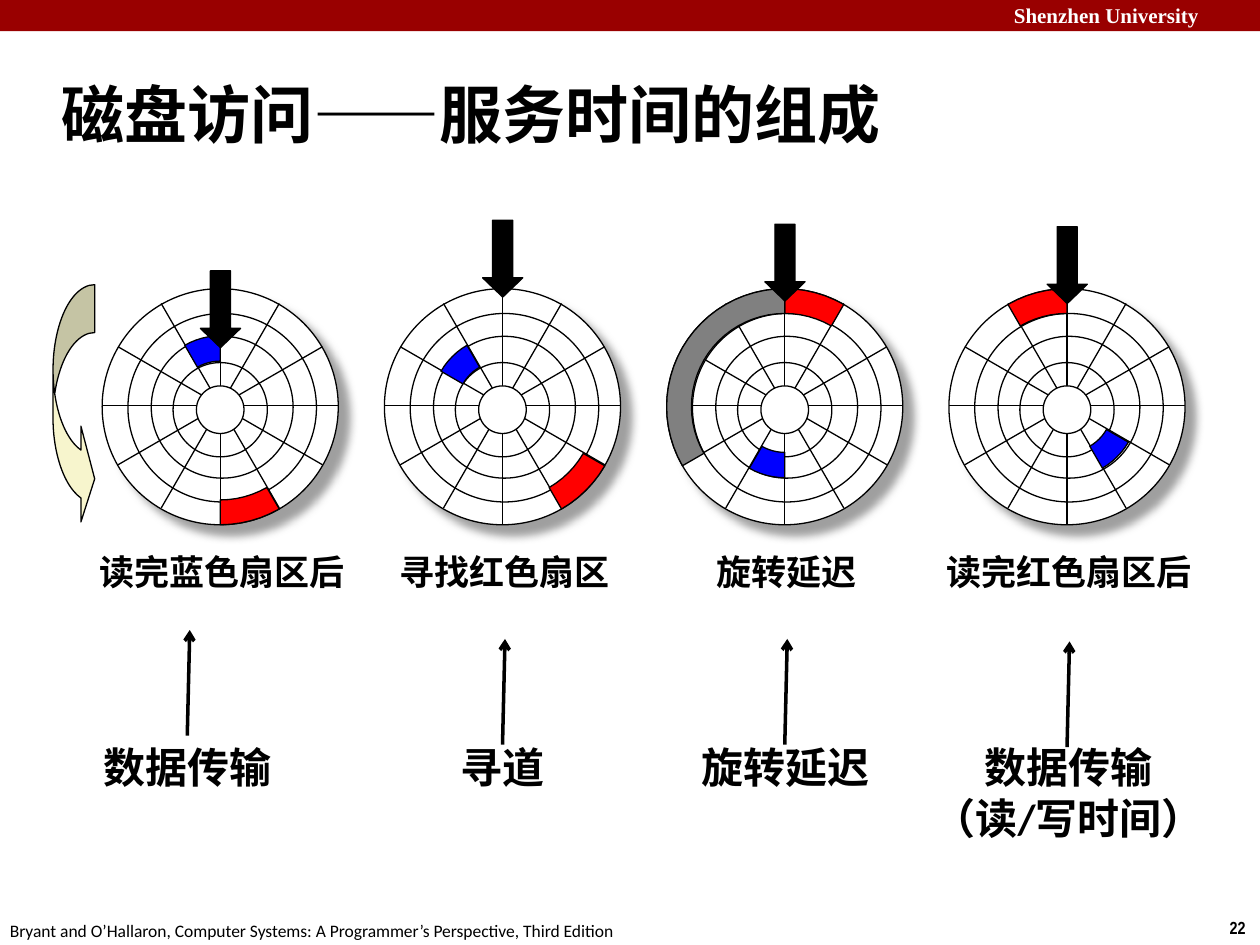
from dataclasses import dataclass
from math import cos, radians, sin
from typing import NamedTuple

from lxml.etree import SubElement as Sub
from pptx import Presentation
from pptx.dml.color import RGBColor as Rgb
from pptx.enum.shapes import MSO_CONNECTOR as Link, MSO_SHAPE as Kind
from pptx.enum.text import MSO_ANCHOR as Anchor, PP_ALIGN as Align
from pptx.oxml.ns import qn
from pptx.util import Cm, Pt


@dataclass(frozen=True)
class Theme:
    bar: str = "990000"
    white: str = "FFFFFF"
    black: str = "000000"
    red: str = "FF0000"
    blue: str = "0000FF"
    gray: str = "808080"
    cream: str = "F7F5CD"
    body: str = "Calibri"
    slim: str = "Arial Narrow"
    serif: str = "Times New Roman"
    head: float = 36
    step: float = 24
    label: float = 20
    top: float = 12
    foot: float = 10
    thin: float = 0.75
    bold: float = 2


class Box(NamedTuple):
    x: float
    y: float
    w: float
    h: float

    def cm(self) -> list:
        return [Cm(v) for v in self]


class Ring(NamedTuple):
    r: float
    dx: float
    dy: float


class Band(NamedTuple):
    near: float
    far: float


class Sector(NamedTuple):
    band: Band
    start: int
    end: int
    fill: str


class Font(NamedTuple):
    face: str
    size: float
    color: str
    bold: bool = True


@dataclass(frozen=True)
class Stage:
    label: str
    width: float
    head: float
    sectors: tuple
    step: tuple
    box: Box
    side: Align
    wrap: bool
    foot: float


T = Theme()
LEFT, PITCH, MID = 4.44, 5.69, 8.2
RINGS = (Ring(2.38, 0, 0), Ring(1.9, 0.04, 0.02), Ring(1.43, 0.04, 0.01), Ring(0.95, 0, 0.06))
HUB = Ring(0.48, 0, 0.06)
OUTER, INNER = Band(1.88, 2.38), Band(0.92, 1.43)
STEP = 14.83
STAGES = (
    Stage("读完蓝色扇区后", 5.92, 5.46,
          (Sector(INNER, -30, 0, T.blue), Sector(OUTER, 150, 180, T.red)),
          ("数据传输",), Box(1.83, STEP, 3.89, 1.27), Align.LEFT, False, STEP),
    Stage("寻找红色扇区", 5.08, 4.44,
          (Sector(OUTER, 120, 150, T.red), Sector(INNER, -60, -30, T.blue)),
          ("寻道",), Box(9.04, STEP, 2.21, 1.27), Align.LEFT, False, 15.01),
    Stage("旋转延迟", 6.78, 4.52,
          (Sector(OUTER, 0, 30, T.red), Sector(INNER, 180, 210, T.blue), Sector(OUTER, 240, 360, T.gray)),
          ("旋转延迟",), Box(13.54, STEP, 4.6, 1.27), Align.CENTER, True, 15.01),
    Stage("读完红色扇区后", 5.92, 4.57,
          (Sector(OUTER, -30, 0, T.red), Sector(INNER, 120, 150, T.blue)),
          ("数据传输", "（读/写时间）"), Box(18.52, STEP, 6.05, 2.31), Align.CENTER, True, 15.06),
)


def paint(shape, fill: str, edge: str | None = T.black) -> None:
    shape.shadow.inherit = False
    shape.fill.solid()
    shape.fill.fore_color.rgb = Rgb.from_string(fill)
    if edge is None:
        shape.line.fill.background()
    else:
        shape.line.color.rgb = Rgb.from_string(edge)
        shape.line.width = Pt(T.thin)


def write(frame, lines: tuple, font: Font, side: Align = Align.LEFT) -> None:
    for n, line in enumerate(lines):
        para = frame.add_paragraph() if n else frame.paragraphs[0]
        para.alignment = side
        run = para.add_run()
        run.text = line
        run.font.name = font.face
        run.font.size = Pt(font.size)
        run.font.bold = font.bold
        run.font.color.rgb = Rgb.from_string(font.color)


def note(shapes, box: Box, lines: tuple, font: Font, side: Align = Align.LEFT, wrap: bool = True):
    item = shapes.add_textbox(*box.cm())
    item.text_frame.word_wrap = wrap
    write(item.text_frame, lines, font, side)
    return item


def rule(shapes, start: tuple, end: tuple, width: float):
    line = shapes.add_connector(Link.STRAIGHT, *(Cm(v) for v in start + end))
    line.line.color.rgb = Rgb.from_string(T.black)
    line.line.width = Pt(width)
    Sub(line._element.spPr, qn("a:effectLst"))
    return line


def point(x: float, y: float, r: float, turn: float) -> tuple:
    return x + r * sin(radians(turn)), y - r * cos(radians(turn))


def circle(shapes, x: float, ring: Ring):
    r = ring.r
    box = Box(x + ring.dx - r, MID + ring.dy - r, 2 * r, 2 * r)
    disk = shapes.add_shape(Kind.OVAL, *box.cm())
    paint(disk, T.white)
    return disk


def shade(shape) -> None:
    glow = Sub(shape._element.spPr.find(qn("a:effectLst")), qn("a:outerShdw"),
               blurRad=str(Pt(5)), dist=str(Pt(8.5)), dir=str(45 * 60000), algn="ctr", rotWithShape="0")
    Sub(Sub(glow, qn("a:srgbClr"), val=T.gray), qn("a:alpha"), val="75000")


def wedge(shapes, x: float, sector: Sector) -> None:
    turns = range(sector.start, sector.end + 1, 5)
    spots = [point(x, MID, sector.band.far, t) for t in turns]
    spots += [point(x, MID, sector.band.near, t) for t in reversed(turns)]
    first, *rest = [(Cm(a), Cm(b)) for a, b in spots]
    edge = shapes.build_freeform(*first)
    edge.add_line_segments(rest, close=True)
    paint(edge.convert_to_shape(), sector.fill)


def platter(shapes, x: float, stage: Stage) -> None:
    group = shapes.add_group_shape().shapes
    disks = [circle(group, x, ring) for ring in RINGS]
    shade(disks[0])
    for turn in range(0, 180, 30):
        y = MID - 0.02
        rule(group, point(x, y, 2.38, turn), point(x, y, 2.38, turn + 180), T.thin)
    circle(group, x, HUB)
    for sector in stage.sectors:
        wedge(group, x, sector)
    head = group.add_shape(Kind.DOWN_ARROW, *Box(x - 0.4, stage.head, 0.81, 1.55).cm())
    head.adjustments[0], head.adjustments[1] = 0.5, 0.48
    paint(head, T.black)


def phase(shapes, x: float, stage: Stage) -> None:
    box = stage.box
    item = note(shapes, box, stage.step, Font(T.body, T.step, T.black), stage.side, stage.wrap)
    joined = stage.foot == box.y
    foot = box.x + box.w / 2 if joined else x
    line = rule(shapes, (foot, stage.foot), (foot + 0.05, stage.foot - 2.13), T.bold)
    if joined:
        line.begin_connect(item, 0)
    Sub(line._element.spPr.find(qn("a:ln")), qn("a:tailEnd"), type="arrow")


def main() -> None:
    deck = Presentation()
    deck.slide_width, deck.slide_height = Cm(25.4), Cm(19.05)
    slide = deck.slides.add_slide(deck.slide_layouts[5])
    shapes = slide.shapes

    title = shapes.title
    title.left, title.top, title.width, title.height = Box(0.99, 1.22, 22.48, 2.11).cm()
    title.text_frame.vertical_anchor = Anchor.MIDDLE
    write(title.text_frame, ("磁盘访问——服务时间的组成",), Font(T.body, T.head, T.black))
    props = title.text_frame.paragraphs[0]._p.get_or_add_pPr()
    props.set("marL", str(Cm(0.33)))
    props.set("indent", str(Cm(-0.33)))

    bar = shapes.add_shape(Kind.RECTANGLE, *Box(0, 0, 25.4, 0.63).cm())
    paint(bar, T.bar, None)
    note(shapes, Box(20.19, -0.08, 5.38, 0.76), ("Shenzhen University",), Font(T.serif, T.top, T.white))
    note(shapes, Box(24.54, 18.36, 0.86, 0.69), ("22",), Font(T.slim, T.foot, T.black), wrap=False)
    note(shapes, Box(-0.05, 18.42, 12.93, 0.69),
         ("Bryant and O’Hallaron, Computer Systems: A Programmer’s Perspective, Third Edition",),
         Font(T.body, T.foot, T.black, False), wrap=False)

    for n, stage in enumerate(STAGES):
        x = LEFT + n * PITCH
        box = Box(x + 0.04 - stage.width / 2, 10.97, stage.width, 1.09)
        note(shapes, box, (stage.label,), Font(T.slim, T.label, T.black), Align.CENTER)
        platter(shapes, x, stage)
        phase(shapes, x, stage)

    spin = shapes.add_shape(Kind.CURVED_RIGHT_ARROW, *Box(1.07, 5.74, 0.84, 4.88).cm())
    for n, value in enumerate((1.15, 2.3, 0.33)):
        spin.adjustments[n] = value
    paint(spin, T.cream)

    deck.save("out.pptx")


if __name__ == "__main__":
    main()
